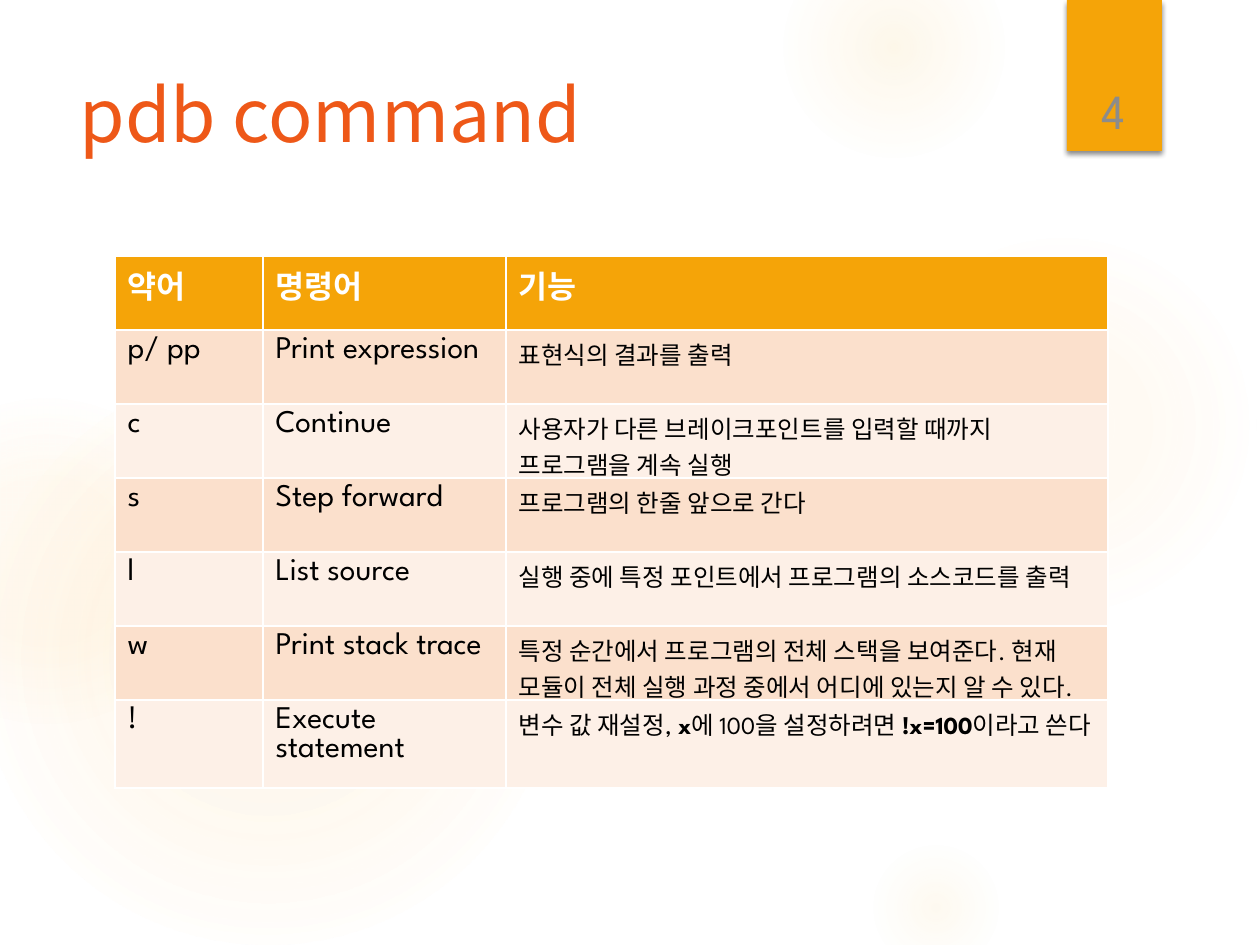
"""Build the pdb command slide."""
from lxml import etree
from pptx import Presentation
from pptx import util as u
from pptx.dml.color import RGBColor
from pptx.enum import shapes, text
from pptx.oxml import ns

A = ns.nsdecls("a")
PX = 914400 / 126
SANS, SPARTAN = "Noto Sans CJK KR", "League Spartan"


def px(*lengths):
    return [u.Emu(round(n * PX)) for n in lengths]


def style(font, name, size, color, bold=False):
    font.name, font.size, font.bold = name, u.Pt(size), bold
    font.color.rgb = RGBColor.from_string(color)


prs = Presentation()
prs.slide_width, prs.slide_height = px(1260, 945)
s = prs.slides.add_slide(prs.slide_layouts[5])

glows = [
    (868, 231, 388, [(0, 7), (36, 6), (69, 0)]),
    (784, -63, 220, [(0, 14), (36, 7), (73, 0)]),
    (868, 840, 136, [(0, 10), (31, 5), (66, 0)]),
    (-21, 368, 577, [(0, 11), (36, 10), (75, 0)]),
    (-116, 399, 325, [(0, 8), (36, 8), (72, 0)]),
]
for left, top, size, stops in glows:
    sp = s.shapes.add_shape(shapes.MSO_SHAPE.OVAL, *px(left, top, size, size))
    sp.shadow.inherit = False
    sp.line.fill.background()
    stop_xml = "".join(
        f'<a:gs pos="{pos * 1000}"><a:srgbClr val="FAC96A">'
        f'<a:alpha val="{alpha * 1000}"/></a:srgbClr></a:gs>'
        for pos, alpha in stops)
    sp._element.spPr.find(ns.qn("a:prstGeom")).addnext(etree.fromstring(
        f'<a:gradFill {A}><a:gsLst>{stop_xml}</a:gsLst><a:path path="circle">'
        '<a:fillToRect l="50000" t="50000" r="50000" b="50000"/></a:path></a:gradFill>'))

tab = s.shapes.add_shape(shapes.MSO_SHAPE.RECTANGLE, *px(1067, 0, 95, 151))
tab.fill.solid()
tab.fill.fore_color.rgb = RGBColor.from_string("F5A408")
tab.line.fill.background()
tab._element.spPr.append(etree.fromstring(
    f'<a:effectLst {A}><a:outerShdw blurRad="38100" dist="25400" dir="5400000">'
    '<a:srgbClr val="000000"><a:alpha val="45000"/></a:srgbClr></a:outerShdw></a:effectLst>'))

title = s.shapes.title
title.left, title.top, title.width, title.height = px(67, 63, 973, 193)
tf = title.text_frame
tf.text = "pdb command"
tf.vertical_anchor = text.MSO_ANCHOR.TOP
p = tf.paragraphs[0]
p.alignment = text.PP_ALIGN.LEFT
style(p.font, SANS, 42, "EE5818")

number = s.shapes.add_textbox(*px(1070, 40, 87, 106))
tf = number.text_frame
tf.word_wrap = True
tf.vertical_anchor = text.MSO_ANCHOR.BOTTOM
p = tf.paragraphs[0]
p.text = "4"
p.alignment = text.PP_ALIGN.CENTER
style(p.font, SPARTAN, 28, "8C8C8C")

rows = [
    ("약어", "명령어", ["기능"]),
    ("p/ pp", "Print expression", ["표현식의 결과를 출력"]),
    ("c", "Continue", ["사용자가 다른 브레이크포인트를 입력할 때까지 프로그램을 계속 실행"]),
    ("s", "Step forward", ["프로그램의 한줄 앞으로 간다"]),
    ("l", "List source", ["실행 중에 특정 포인트에서 프로그램의 소스코드를 출력"]),
    ("w", "Print stack trace",
     ["특정 순간에서 프로그램의 전체 스택을 보여준다. 현재 모듈이 전체 실행 과정 중에서 어디에 있는지 알 수 있다."]),
    ("!", "Execute statement",
     ["변수 값 재설정, ", "x", "에 100을 설정하려면 ", "!x=100", "이라고 쓴다"]),
]
widths = (148, 243, 602)
table = s.shapes.add_table(len(rows), 3, *px(115, 256, sum(widths), 74 * len(rows))).table
for column, width in zip(table.columns, px(*widths)):
    column.width = width
for i, (short, command, meaning) in enumerate(rows):
    header = i == 0
    for j, parts in enumerate(([short], [command], meaning)):
        cell = table.cell(i, j)
        cell.fill.solid()
        fill = "F5A408" if header else ("FDF0E7", "FBE0CC")[i % 2]
        cell.fill.fore_color.rgb = RGBColor.from_string(fill)
        p = cell.text_frame.paragraphs[0]
        size = 14 if j == 2 and not header else 18
        style(p.font, SPARTAN, size, "FFFFFF" if header else "000000", header)
        for k, part in enumerate(parts):
            r = p.add_run()
            r.text = part
            if k % 2:
                r.font.bold = True

prs.save("out.pptx")
